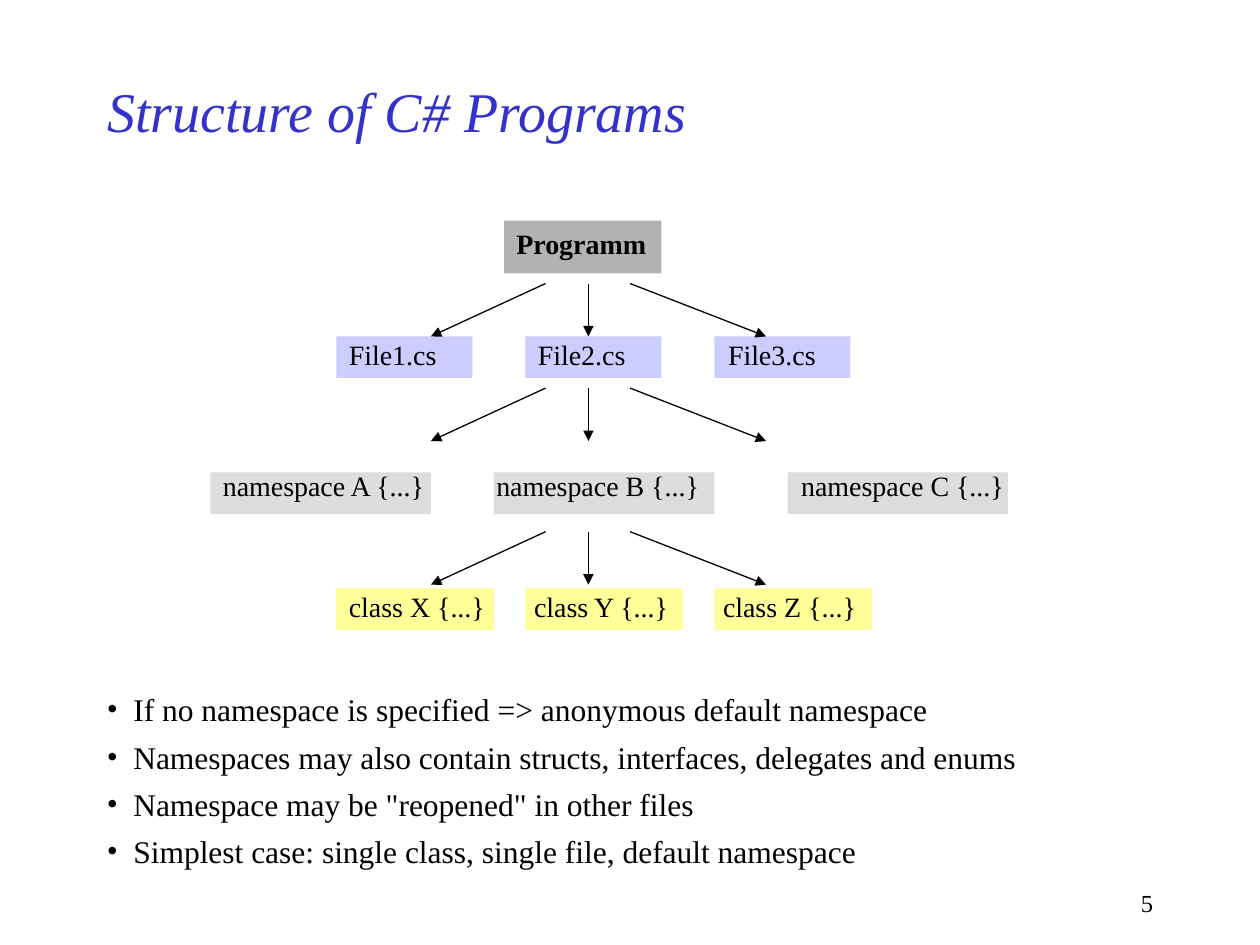
from lxml import etree
from pptx import Presentation
from pptx.dml.color import RGBColor
from pptx.enum import shapes, text
from pptx.oxml.ns import qn
from pptx.util import Inches, Pt

BLACK = RGBColor(0x00, 0x00, 0x00)
TITLE_BLUE = RGBColor(0x33, 0x33, 0xCC)
GRAY = RGBColor(0xB2, 0xB2, 0xB2)
LAVENDER = RGBColor(0xCC, 0xCC, 0xFF)
LIGHT_GRAY = RGBColor(0xDD, 0xDD, 0xDD)
YELLOW = RGBColor(0xFF, 0xFF, 0x99)
FONT = "Times New Roman"


def format_font(font, **values):
    defaults = {"name": FONT, "size": Pt(16), "bold": False, "italic": False}
    color = values.pop("color", BLACK)
    for name, value in {**defaults, **values}.items():
        setattr(font, name, value)
    font.color.rgb = color


def add_text(left, top, width, height, content, **font_values):
    box = slide.shapes.add_textbox(Inches(left), Inches(top), Inches(width), Inches(height))
    box.text_frame.word_wrap = False
    box.text_frame.auto_size = text.MSO_AUTO_SIZE.SHAPE_TO_FIT_TEXT
    paragraph = box.text_frame.paragraphs[0]
    paragraph.text = content
    format_font(paragraph.runs[0].font, **font_values)
    return box


presentation = Presentation()
presentation.slide_width = Inches(10)
presentation.slide_height = Inches(7.5)
slide = presentation.slides.add_slide(presentation.slide_layouts[5])

# Title
title = slide.shapes.title
title.left, title.top, title.width, title.height = map(Inches, (0.75, 0.5, 7.5, 0.75))
title.text_frame.vertical_anchor = text.MSO_ANCHOR.MIDDLE
paragraph = title.text_frame.paragraphs[0]
paragraph.text = "Structure of C# Programs"
paragraph.alignment = text.PP_ALIGN.LEFT
format_font(paragraph.runs[0].font, size=Pt(32), italic=True, color=TITLE_BLUE)

# Levels of the tree: fill, box top, width and height, label top, bold,
# then box left, label left, label width and label of each node
levels = [
    (GRAY, 1.75, 1.25, 0.42, 1.75, True, [(4, 4, 1.23, "Programm")]),
    (LAVENDER, 2.67, 1.08, 0.33, 2.63, False, [
        (2.67, 2.67, 0.9, "File1.cs"),
        (4.17, 4.17, 0.9, "File2.cs"),
        (5.67, 5.68, 0.9, "File3.cs")]),
    (LIGHT_GRAY, 3.75, 1.75, 0.33, 3.67, False, [
        (1.67, 1.67, 1.82, "namespace A {...}"),
        (3.92, 3.84, 1.81, "namespace B {...}"),
        (6.25, 6.26, 1.81, "namespace C {...}")]),
    (YELLOW, 4.67, 1.25, 0.33, 4.63, False, [
        (2.67, 2.67, 1.28, "class X {...}"),
        (4.17, 4.14, 1.28, "class Y {...}"),
        (5.67, 5.64, 1.26, "class Z {...}")]),
]
for fill, top, width, height, label_top, bold, nodes in levels:
    for left, label_left, label_width, label in nodes:
        shape = slide.shapes.add_shape(
            shapes.MSO_SHAPE.RECTANGLE, Inches(left), Inches(top), Inches(width), Inches(height))
        shape.shadow.inherit = False
        shape.fill.solid()
        shape.fill.fore_color.rgb = fill
        shape.line.fill.background()
        add_text(label_left, label_top, label_width, 0.37, label, bold=bold)

# Arrows fanning out between the levels
for top in (2.25, 3.08, 4.22):
    for start, end in ((4.67, 4.67), (4.33, 3.42), (5, 6.08)):
        arrow = slide.shapes.add_connector(
            shapes.MSO_CONNECTOR.STRAIGHT,
            Inches(start), Inches(top), Inches(end), Inches(top + 0.42))
        arrow.line.color.rgb = BLACK
        arrow.line.width = Pt(0.75)
        etree.SubElement(arrow.line._get_or_add_ln(), qn("a:tailEnd"), type="triangle")
        etree.SubElement(arrow._element.spPr, qn("a:effectLst"))

# Bullets
notes = [
    "If no namespace is specified => anonymous default namespace",
    "Namespaces may also contain structs, interfaces, delegates and enums",
    "Namespace may be \"reopened\" in other files",
    "Simplest case: single class, single file, default namespace",
]
body = slide.shapes.add_textbox(Inches(0.75), Inches(5.42), Inches(8.5), Inches(1.67))
frame = body.text_frame
frame.word_wrap = True
frame.margin_top = Inches(0.06)
for index, note in enumerate(notes):
    paragraph = frame.paragraphs[0] if index == 0 else frame.add_paragraph()
    paragraph.text = note
    paragraph.space_before = Pt(5.4 if index else 0)
    properties = paragraph._p.get_or_add_pPr()
    properties.set("marL", str(Inches(0.21)))
    properties.set("indent", str(-Inches(0.21)))
    etree.SubElement(properties, qn("a:buFont"), typeface=FONT)
    etree.SubElement(properties, qn("a:buChar"), char="•")
    for font in (paragraph.font, paragraph.runs[0].font):
        format_font(font, size=Pt(18))

# Slide number
number = add_text(7.17, 7, 2.08, 0.33, "5", size=Pt(14))
number.text_frame.word_wrap = True
number.text_frame.paragraphs[0].alignment = text.PP_ALIGN.RIGHT

presentation.save("out.pptx")
